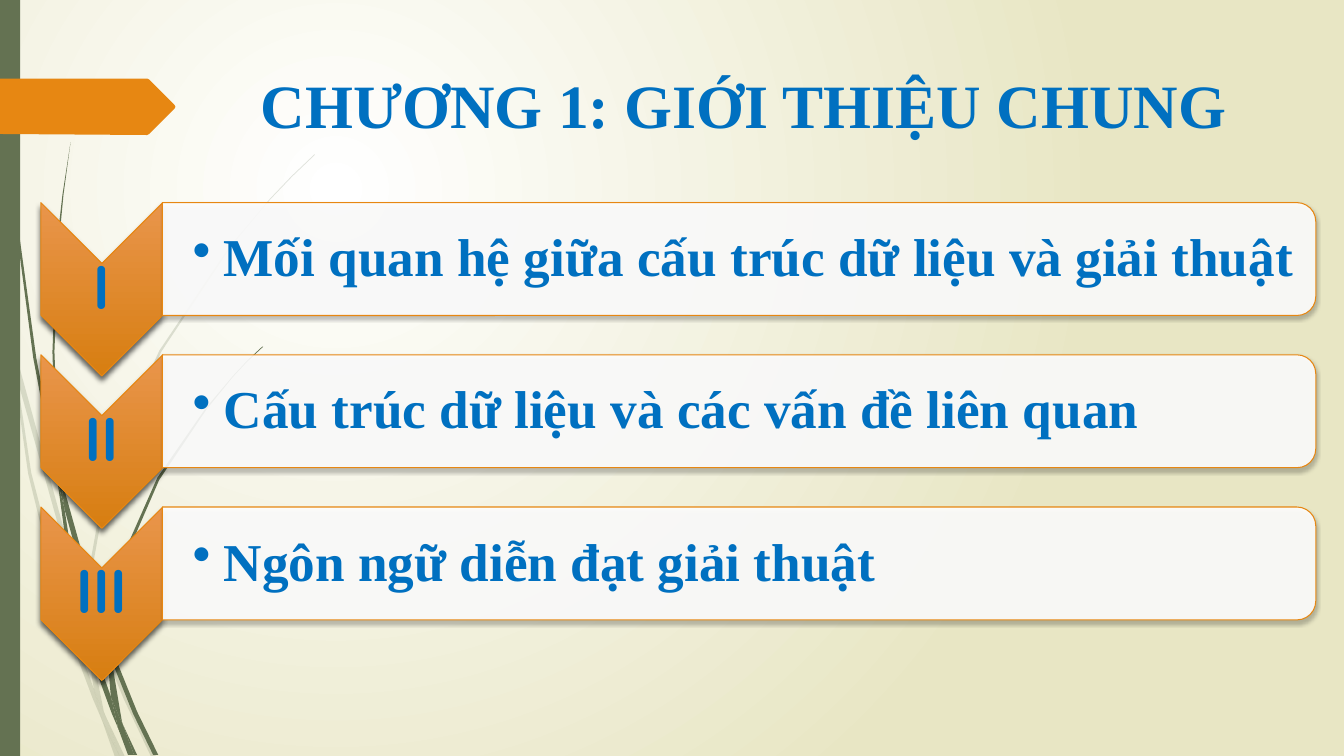
import pptx
import pptx.util
import pptx.dml.color
import pptx.enum.shapes
import pptx.enum.text
import pptx.oxml.ns
from dataclasses import dataclass
from lxml import etree
from pptx.util import Inches, Pt

KIND = pptx.enum.shapes.MSO_SHAPE
ALIGN = pptx.enum.text.PP_ALIGN
qn = pptx.oxml.ns.qn


@dataclass(frozen=True)
class Theme:
    white: str = "FFFFFF"
    sand: str = "E8E6C4"
    moss: str = "647252"
    amber: str = "E78712"
    light: str = "E9954B"
    dark: str = "D77E11"
    blue: str = "0070C0"
    black: str = "000000"
    serif: str = "Times New Roman"
    round: str = "Quicksand"
    big: int = 44
    body: int = 38


THEME = Theme()

TOPICS = [
    ("I", "Mối quan hệ giữa cấu trúc dữ liệu và giải thuật"),
    ("II", "Cấu trúc dữ liệu và các vấn đề liên quan"),
    ("III", "Ngôn ngữ diễn đạt giải thuật"),
]

# Outlines in hundredths of an inch
PALE = [
    [(11, 350), (9, 322), (0, 282), (0, 299), (10, 344)],
    [(58, 522), (84, 599), (85, 586), (62, 520), (14, 345), (17, 376)],
    [(92, 607), (88, 596), (88, 610), (123, 694), (150, 751), (155, 751), (127, 692)],
    [(119, 751), (124, 751), (105, 711)],
    [(93, 683), (70, 619), (31, 469), (17, 376), (11, 350), (28, 470), (65, 621),
     (92, 693), (101, 714), (99, 707)],
    [(84, 599), (87, 646), (93, 683), (96, 692), (105, 711), (103, 706), (91, 646),
     (88, 610), (88, 608)],
    [(88, 584), (110, 462), (160, 349), (229, 245), (268, 198), (290, 175), (312, 154),
     (312, 153), (289, 175), (268, 197), (228, 244), (158, 348), (107, 461), (85, 584),
     (85, 586), (88, 596)],
    [(101, 714), (114, 751), (119, 751)],
    [(88, 608), (88, 610), (88, 596), (85, 586), (84, 599)],
    [(96, 692), (93, 683), (99, 707), (101, 714), (119, 751), (105, 711)],
]
DEEP = [
    [(7, 110), (17, 233), (33, 355), (56, 477), (57, 481), (55, 457), (55, 453), (36, 355),
     (19, 232), (8, 109), (5, 48), (4, 0), (3, 0), (4, 48)],
    [(88, 592), (106, 645), (106, 631), (93, 590), (60, 472), (64, 505)],
    [(113, 649), (110, 641), (111, 656), (132, 708), (152, 749), (157, 749), (136, 706)],
    [(110, 691), (98, 657), (72, 556), (64, 505), (57, 477), (68, 557), (93, 659),
     (111, 708), (117, 722), (116, 717)],
    [(60, 472), (58, 453), (54, 349), (58, 245), (63, 193), (70, 141), (62, 193), (56, 245),
     (52, 349), (55, 449)],
    [(133, 749), (136, 749), (122, 719)],
    [(57, 477), (64, 505), (60, 472), (55, 449), (55, 453)],
    [(111, 633), (125, 552), (158, 476), (205, 406), (231, 374), (245, 359), (261, 344),
     (260, 344), (245, 358), (231, 373), (204, 405), (156, 474), (122, 551), (106, 631),
     (110, 641)],
    [(117, 722), (127, 749), (131, 749)],
    [(106, 645), (110, 691), (116, 706), (122, 719), (121, 716), (111, 656), (109, 651)],
    [(106, 645), (109, 651), (111, 656), (110, 641), (106, 631)],
    [(116, 706), (110, 691), (116, 717), (117, 722), (130, 749), (133, 749), (122, 719)],
]
TAG = [(0, 78), (146, 78), (148, 79), (173, 104), (174, 106), (173, 108), (148, 133),
       (146, 134), (0, 133)]


def rgb(code):
    return pptx.dml.color.RGBColor.from_string(code)


def node(root, tag, **attrs):
    return etree.SubElement(root, qn(tag), {k: str(v) for k, v in attrs.items()})


def paint(shape, color, alpha=100, line=None):
    """Give a flat fill, an optional thin line, and no shadow."""
    shape.shadow.inherit = False
    shape.fill.solid()
    shape.fill.fore_color.rgb = rgb(color)
    if alpha < 100:
        tone = shape.element.spPr.find(".//" + qn("a:srgbClr"))
        node(tone, "a:alpha", val=alpha * 1000)
    if line:
        shape.line.color.rgb = rgb(line)
        shape.line.width = Pt(0.75)
    else:
        shape.line.fill.background()


def blend(fill, first, last):
    fill.gradient()
    for stop, color, place in zip(fill.gradient_stops, (first, last), (0, 1)):
        stop.color.rgb = rgb(color)
        stop.position = place


def shade(shape, alpha, blur, dist):
    """Add a soft shadow straight below."""
    root = shape.element.spPr.find(qn("a:effectLst"))
    drop = node(root, "a:outerShdw", blurRad=Pt(blur), dist=Pt(dist),
                dir=5400000, algn="ctr", rotWithShape=0)
    tone = node(drop, "a:srgbClr", val=THEME.black)
    node(tone, "a:alpha", val=alpha * 1000)


def outline(shapes, points, color, alpha=100):
    pen = shapes.build_freeform(*points[0], scale=Inches(0.01))
    pen.add_line_segments(points[1:], close=True)
    paint(pen.convert_to_shape(), color, alpha)


def turned(slide, kind, mid, long, thick):
    """Add a shape turned a quarter clockwise about its middle."""
    x, y = mid
    shape = slide.shapes.add_shape(kind, Inches(x - long / 2), Inches(y - thick / 2),
                                   Inches(long), Inches(thick))
    shape.rotation = 90
    return shape


def label(slide, box, text, font, size, inset=0.03, align=ALIGN.CENTER, space=1.0):
    frame = slide.shapes.add_textbox(*map(Inches, box)).text_frame
    frame.word_wrap = True
    frame.vertical_anchor = pptx.enum.text.MSO_ANCHOR.MIDDLE
    frame.margin_left = Inches(inset)
    frame.margin_top = frame.margin_right = frame.margin_bottom = Inches(0.03)
    frame.text = text
    para = frame.paragraphs[0]
    para.alignment = align
    para.line_spacing = space
    face = para.runs[0].font
    face.name, face.size, face.bold = font, Pt(size), True
    face.color.rgb = rgb(THEME.blue)
    return para


def bullet(para):
    props = para._p.get_or_add_pPr()
    props.set("marL", str(Inches(0.31)))
    props.set("indent", str(Inches(-0.31)))
    node(props, "a:buChar", char="•")


def backdrop(slide):
    blend(slide.background.fill, THEME.white, THEME.sand)
    lin = slide.element.find(".//" + qn("a:lin"))
    root = lin.getparent()
    root.remove(lin)
    glow = node(root, "a:path", path="circle")
    node(glow, "a:fillToRect", l=50000, t=50000, r=100000, b=100000)


def grass(slide, blades, alpha):
    group = slide.shapes.add_group_shape()
    for blade in blades:
        outline(group.shapes, blade, THEME.moss, alpha)


def topic(slide, mid, mark, text):
    """Add one row: a chevron with its numeral, and a bar with its text."""
    low = mid + 0.3
    arrow = turned(slide, KIND.CHEVRON, (1.01, low), 1.72, 1.21)
    paint(arrow, THEME.light, line=THEME.amber)
    blend(arrow.fill, THEME.light, THEME.dark)
    arrow.fill.gradient_angle = 270
    arrow.element.spPr.find(qn("a:gradFill")).set("rotWithShape", "0")
    shade(arrow, 60, 4, 3)
    label(slide, (0.4, low - 0.26, 1.21, 0.52), mark, THEME.round, THEME.big, space=0.9)

    bar = turned(slide, KIND.ROUND_2_SAME_RECTANGLE, (7.33, mid), 1.12, 11.44)
    paint(bar, THEME.white, 90, THEME.amber)
    shade(bar, 25, 3, 2)
    bullet(label(slide, (1.61, mid - 0.5, 11.38, 1.01), text, THEME.serif, THEME.body,
                 inset=0.3, align=ALIGN.LEFT, space=0.9))


def main():
    deck = pptx.Presentation()
    deck.slide_width, deck.slide_height = Inches(13.33), Inches(7.5)
    slide = deck.slides.add_slide(deck.slide_layouts[6])
    backdrop(slide)
    grass(slide, PALE, 20)
    grass(slide, DEEP, 100)
    edge = slide.shapes.add_shape(KIND.RECTANGLE, 0, 0, Inches(0.2), deck.slide_height)
    paint(edge, THEME.moss)
    outline(slide.shapes, TAG, THEME.amber)
    label(slide, (1.42, 0.53, 11.92, 1.01), "CHƯƠNG 1: GIỚI THIỆU CHUNG",
          THEME.serif, THEME.big)
    for row, (mark, text) in enumerate(TOPICS):
        topic(slide, 2.57 + 1.51 * row, mark, text)
    deck.save("out.pptx")


if __name__ == "__main__":
    main()
